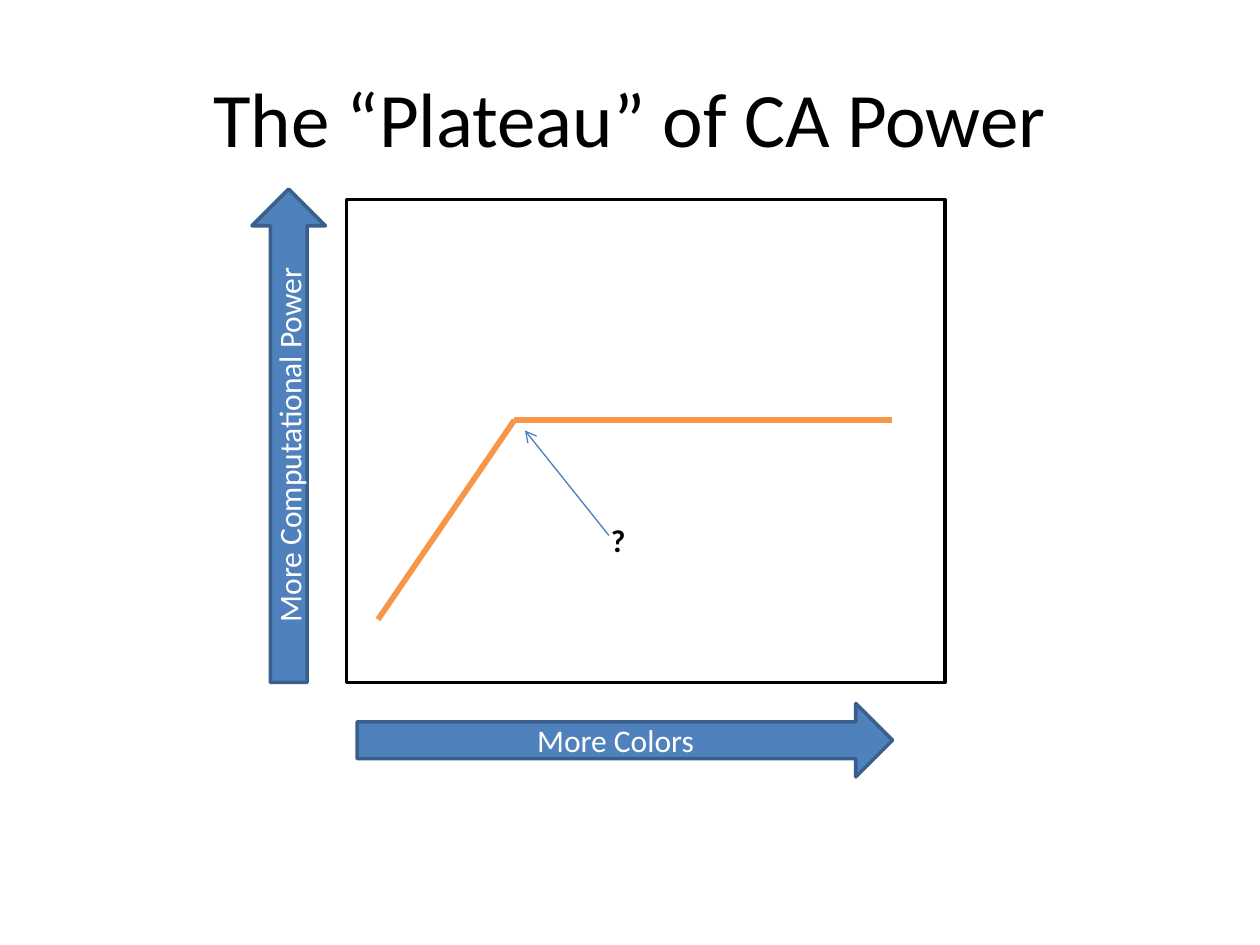
import pptx
import pptx.util
import pptx.dml.color
import pptx.enum.shapes
import pptx.enum.text
import pptx.oxml.ns
import lxml.etree

RGB = pptx.dml.color.RGBColor
BLACK = RGB(0x00, 0x00, 0x00)
WHITE = RGB(0xFF, 0xFF, 0xFF)
BLUE = RGB(0x4F, 0x81, 0xBD)
DARK_BLUE = RGB(0x3A, 0x5F, 0x8C)
POINTER_BLUE = RGB(0x4B, 0x7E, 0xBC)
ORANGE = RGB(0xF7, 0x96, 0x46)
COLUMNS, ROWS = 120, 90
SHAPES = pptx.enum.shapes.MSO_SHAPE
CENTER = pptx.enum.text.PP_ALIGN.CENTER
MIDDLE = pptx.enum.text.MSO_ANCHOR.MIDDLE

prs = pptx.Presentation()
prs.slide_width = pptx.util.Inches(10)
prs.slide_height = pptx.util.Inches(7.5)


def grid(x, y):
    """Convert a column and a row to slide lengths."""
    return round(prs.slide_width * x / COLUMNS), round(prs.slide_height * y / ROWS)


def write(sp, text, size, color, align=None, anchor=None, bold=None, wrap=True):
    """Set the text of a shape."""
    tf = sp.text_frame
    tf.word_wrap = wrap
    tf.vertical_anchor = anchor
    p = tf.paragraphs[0]
    p.text = text
    p.alignment = align
    p.font.name = "Calibri"
    p.font.size = pptx.util.Pt(size)
    p.font.color.rgb = color
    p.font.bold = bold


def add_line(s, start, end, color, width, arrow=False):
    """Draw a straight line between two grid points."""
    line = s.shapes.add_connector(
        pptx.enum.shapes.MSO_CONNECTOR.STRAIGHT, *grid(*start), *grid(*end))
    line.line.color.rgb = color
    line.line.width = pptx.util.Pt(width)
    if arrow:
        tail = lxml.etree.SubElement(line.line._get_or_add_ln(), pptx.oxml.ns.qn("a:tailEnd"))
        tail.set("type", "arrow")
    lxml.etree.SubElement(line._element.spPr, pptx.oxml.ns.qn("a:effectLst"))


def add_outlined(s, kind, box, color):
    """Add a preset shape with a two-point outline in a grid box."""
    x, y, w, h = box
    sp = s.shapes.add_shape(kind, *grid(x, y), *grid(w, h))
    sp.shadow.inherit = False
    sp.line.color.rgb = color
    sp.line.width = pptx.util.Pt(2)
    return sp


def add_title(s, box, text):
    """Add the centred slide title."""
    x, y, w, h = box
    sp = s.shapes.add_textbox(*grid(x, y), *grid(w, h))
    write(sp, text, 44, BLACK, CENTER, MIDDLE)


def add_axis(s, box, text, upright=False):
    """Add a labelled axis arrow that fills a box, turned if upright."""
    x, y, w, h = box
    if upright:
        x, y, w, h = x + (w - h) / 2, y + (h - w) / 2, h, w
    sp = add_outlined(s, SHAPES.RIGHT_ARROW, (x, y, w, h), DARK_BLUE)
    sp.fill.solid()
    sp.fill.fore_color.rgb = BLUE
    sp.rotation = 270 if upright else 0
    write(sp, text, 18, WHITE, CENTER, MIDDLE)


def add_plot(s, box):
    """Draw the framed plateau curve with its axes and question mark."""
    left, top, width, height = box

    def at(x, y):
        """Shift a point into the plot."""
        return left + x, top + y

    add_outlined(s, SHAPES.RECTANGLE, box, BLACK).fill.background()
    curve = [at(3, 40), at(16, 21), at(52, 21)]
    for start, end in zip(curve, curve[1:]):
        add_line(s, start, end, ORANGE, 3.25)
    add_axis(s, (*at(1, height + 2), 51, 7), "More Colors")
    add_axis(s, (*at(-9, -1), 7, height + 1), "More Computational Power", upright=True)
    add_line(s, at(25, 32), at(17, 22), POINTER_BLUE, 0.75, arrow=True)
    sp = s.shapes.add_textbox(*grid(*at(24, 30)), *grid(3.84, 4.8))
    write(sp, "?", 18, BLACK, bold=True, wrap=False)
    sp.text_frame.auto_size = pptx.enum.text.MSO_AUTO_SIZE.SHAPE_TO_FIT_TEXT


s = prs.slides.add_slide(prs.slide_layouts[6])
add_title(s, (6, 3.6, 108, 15), "The “Plateau” of CA Power")
add_plot(s, (33, 19, 57, 46))
prs.save("out.pptx")
